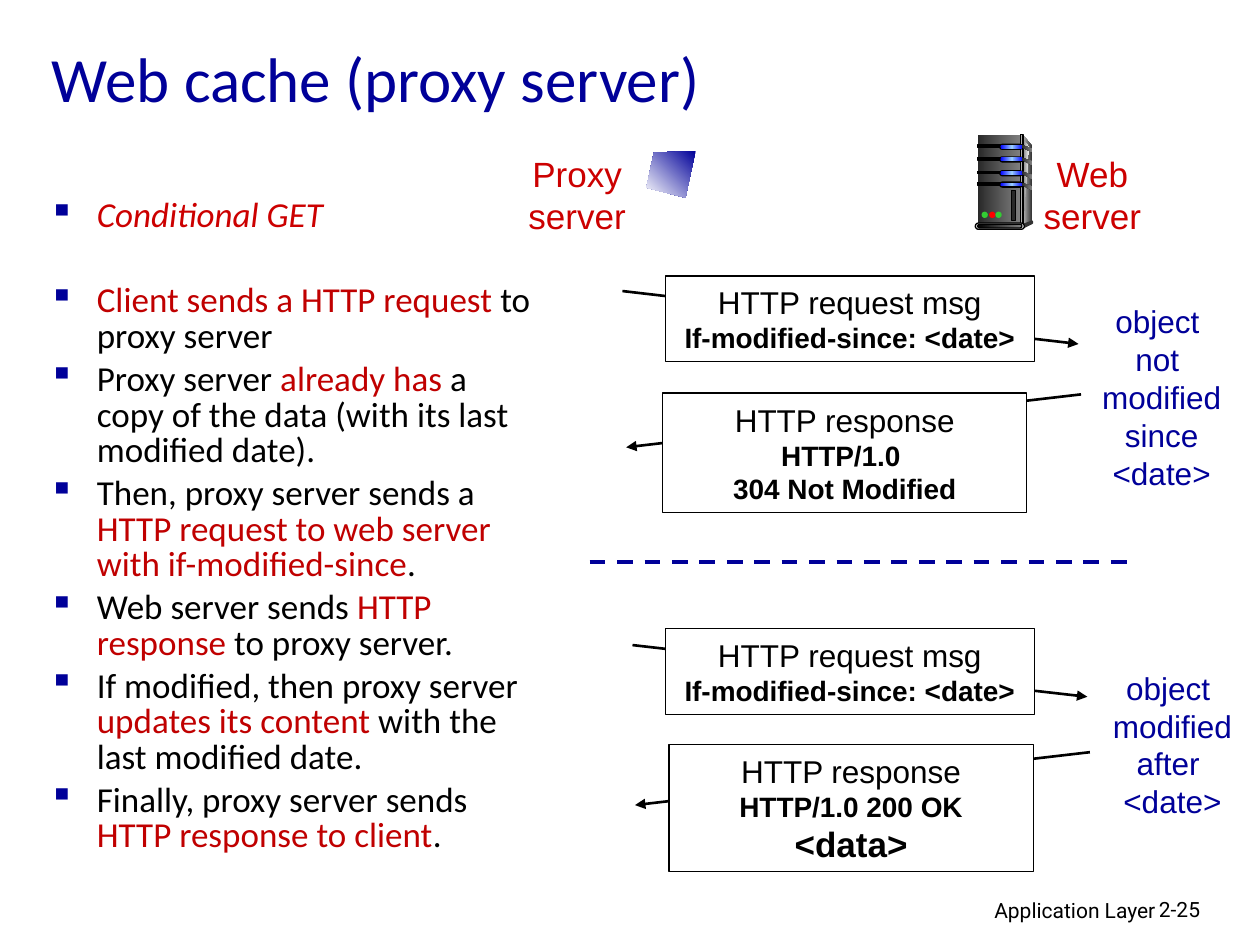
from lxml.etree import SubElement
from pptx import Presentation
from pptx.dml.color import RGBColor
from pptx.enum.dml import MSO_LINE
from pptx.enum.shapes import MSO_CONNECTOR, MSO_SHAPE as SHAPE
from pptx.enum.text import MSO_ANCHOR as ANCHOR, PP_ALIGN as ALIGN
from pptx.oxml.ns import qn
from pptx.util import Inches, Pt

BLACK, WHITE, NAVY, RED, DARK_RED = "000000", "FFFFFF", "000099", "CC0000", "C00000"
STEEL = ["292929", "808080"]
LED_BLUE = ["0000FF", "99CCFF", "0000FF"]

TITLE = "Web cache (proxy server)"
STEPS = [
    [("Client sends a HTTP request", DARK_RED), (" to proxy server", BLACK)],
    [("Proxy server ", BLACK), ("already has ", DARK_RED),
     ("a copy of the data (with its last modified date).", BLACK)],
    [("Then, proxy server sends a ", BLACK),
     ("HTTP request to web server with if-modified-since", DARK_RED), (".", BLACK)],
    [("Web server sends ", BLACK), ("HTTP response", DARK_RED), (" to proxy server.", BLACK)],
    [("If modified, then proxy server ", BLACK), ("updates its content ", DARK_RED),
     ("with the last modified date.", BLACK)],
    [("Finally, proxy server sends ", BLACK), ("HTTP response to client", DARK_RED), (".", BLACK)],
]
REQUEST = [("HTTP request msg", 18, False), ("If-modified-since: <date>", 16, True)]
NOT_MODIFIED = [("HTTP response", 18, False), ("HTTP/1.0 ", 16, True), ("304 Not Modified", 16, True)]
MODIFIED = [("HTTP response", 18, False), ("HTTP/1.0 200 OK", 16, True), ("<data>", 20, True)]
MESSAGES = [
    (REQUEST, (5.28, 2.19, 2.93, 0.68), (4.94, 2.31, 8.56, 2.73)),
    (NOT_MODIFIED, (5.26, 3.12, 2.89, 0.95), (8.58, 3.13, 4.97, 3.55)),
    (REQUEST, (5.28, 4.99, 2.93, 0.68), (5.02, 5.12, 8.63, 5.53)),
    (MODIFIED, (5.31, 5.91, 2.89, 1.01), (8.65, 5.97, 5.04, 6.39)),
]
LABELS = [
    (["object ", "not ", "modified", "since", "<date>"], (8.64, 2.35, 1.16, 1.62), 18, NAVY),
    (["object ", "modified", "after ", "<date>"], (8.73, 5.26, 1.15, 1.3), 18, NAVY),
    (["Proxy", "server"], (4.09, 1.16, 0.98, 0.77), 20, RED),
    (["Web", "server"], (8.18, 1.16, 0.98, 0.77), 20, RED),
]
FOOTER = [("Application Layer", (6.1, 7.07, 3.17, 0.31), ALIGN.RIGHT),
          ("2-25", (9.1, 7.07, 0.74, 0.3), ALIGN.LEFT)]
DRIVE_TOPS = [1.15, 1.25, 1.36, 1.45]
LEDS = [(7.79, "33CC33"), (7.85, "FF0000"), (7.9, "33CC33")]


def rgb(color):
    return RGBColor.from_string(color)


def inches(values):
    return [Inches(value) for value in values]


def paint(shape, fill, outline=None, angle=0):
    """Fill with one colour or an even gradient of several, and outline if asked."""
    shape.shadow.inherit = False
    if isinstance(fill, str):
        shape.fill.solid()
        shape.fill.fore_color.rgb = rgb(fill)
    else:
        shape.fill.gradient()
        shape.fill.gradient_angle = angle
        stops = shape.fill._fill._gradFill.find(qn("a:gsLst"))
        for stop in list(stops):
            stops.remove(stop)
        for i, color in enumerate(fill):
            stop = SubElement(stops, qn("a:gs"), pos=str(100000 * i // (len(fill) - 1)))
            SubElement(stop, qn("a:srgbClr"), val=color)
    if outline:
        shape.line.color.rgb = rgb(outline)
        shape.line.width = Pt(0.75)
    else:
        shape.line.fill.background()


def add_block(shapes, kind, box, fill, outline=None):
    block = shapes.add_shape(kind, *inches(box))
    if kind == SHAPE.ROUNDED_RECTANGLE:
        block.adjustments[0] = 0.5
    paint(block, fill, outline)
    return block


def add_outline(shapes, points, fill, angle=0):
    builder = shapes.build_freeform(*inches(points[0]), scale=1.0)
    builder.add_line_segments([inches(point) for point in points[1:]], close=True)
    paint(builder.convert_to_shape(), fill, angle=angle)


def add_line(shapes, ends, color, width):
    line = shapes.add_connector(MSO_CONNECTOR.STRAIGHT, *inches(ends))
    line.line.color.rgb = rgb(color)
    line.line.width = Pt(width)
    SubElement(line._element.spPr, qn("a:effectLst"))
    return line


def style(paragraph, size, color, font="Arial", bold=False, align=ALIGN.CENTER):
    paragraph.alignment = align
    paragraph.font.name = font
    paragraph.font.size = Pt(size)
    paragraph.font.bold = bold
    paragraph.font.color.rgb = rgb(color)


def write(frame, lines, color, font="Arial", align=ALIGN.CENTER):
    for i, (text, size, bold) in enumerate(lines):
        paragraph = frame.add_paragraph() if i else frame.paragraphs[0]
        paragraph.text = text
        style(paragraph, size, color, font, bold, align)


def add_steps(shapes):
    frame = shapes.add_textbox(*inches((0.29, 1.53, 4.09, 5.61))).text_frame
    frame.word_wrap = True
    for i, runs in enumerate([[("Conditional GET", RED)]] + STEPS):
        paragraph = frame.add_paragraph() if i else frame.paragraphs[0]
        props = paragraph._p.get_or_add_pPr()
        props.set("marL", str(Inches(0.38)))
        props.set("indent", str(Inches(-0.38)))
        SubElement(SubElement(props, qn("a:buClr")), qn("a:srgbClr"), val=NAVY)
        SubElement(props, qn("a:buChar"), char="▪")
        paragraph.line_spacing = 0.85
        paragraph.space_before = Pt({0: 0, 1: 28.4}.get(i, 4))
        paragraph.font.name = "Calibri"
        paragraph.font.size = Pt(20)
        paragraph.font.italic = i == 0
        for text, color in runs:
            run = paragraph.add_run()
            run.text = text
            run.font.color.rgb = rgb(color)


def add_server(shapes):
    rect, pill, oval = SHAPE.RECTANGLE, SHAPE.ROUNDED_RECTANGLE, SHAPE.OVAL
    add_outline(shapes, [(8.12, 1.07), (8.19, 1.16), (8.19, 1.76), (8.1, 1.79)], ["DDDDDD", "333333"])
    add_block(shapes, rect, (7.76, 1.07, 0.34, 0.72), STEEL)
    add_outline(shapes, [(8.12, 1.11), (8.17, 1.17), (8.14, 1.5), (8.12, 1.77)], ["808080", "F8F8F8"])
    add_block(shapes, rect, (8.1, 1.07, 0.02, 0.72), ["333333", "DDDDDD", "333333"], BLACK)
    for top in DRIVE_TOPS:
        add_block(shapes, rect, (7.76, top, 0.19, 0.02), BLACK, BLACK)
        add_block(shapes, pill, (7.93, top - 0.01, 0.19, 0.05), BLACK)
        add_block(shapes, pill, (7.94, top, 0.18, 0.03), LED_BLUE)
        add_outline(shapes, [(8.11, top), (8.19, top + 0.03), (8.19, top + 0.06), (8.11, top + 0.02)], STEEL)
    add_block(shapes, oval, (8.18, 1.75, 0.02, 0.03), "333333")
    add_outline(shapes, [(8.11, 1.78), (8.11, 1.82), (8.19, 1.78), (8.19, 1.75)], "333333")
    add_block(shapes, pill, (7.74, 1.77, 0.39, 0.05), "DDDDDD", BLACK)
    add_block(shapes, pill, (7.76, 1.78, 0.35, 0.03), [BLACK, "808080"], BLACK)
    for left, color in LEDS:
        add_block(shapes, oval, (left, 1.68, 0.05, 0.05), color)
    add_block(shapes, rect, (8.03, 1.51, 0.03, 0.24), "292929", BLACK)


def main():
    """Build the web cache slide and save it."""
    deck = Presentation()
    deck.slide_width, deck.slide_height = inches((10, 7.5))
    slide = deck.slides.add_slide(deck.slide_layouts[5])
    shapes = slide.shapes

    title = shapes.title
    title.left, title.top, title.width, title.height = inches((0.31, 0.21, 8.71, 0.81))
    title.text_frame.vertical_anchor = ANCHOR.MIDDLE
    write(title.text_frame, [(TITLE, 36, False)], NAVY, "Calibri", ALIGN.LEFT)
    add_steps(shapes)

    for lines, box, ends in MESSAGES:
        arrow = add_line(shapes, ends, BLACK, 1.5)
        SubElement(arrow.line._get_or_add_ln(), qn("a:tailEnd"), type="triangle")
        message = add_block(shapes, SHAPE.RECTANGLE, box, WHITE, BLACK)
        write(message.text_frame, lines, BLACK)
    divider = add_line(shapes, (4.68, 4.46, 8.95, 4.46), NAVY, 2.25)
    divider.line.dash_style = MSO_LINE.DASH

    for lines, box, size, color in LABELS:
        label = shapes.add_textbox(*inches(box)).text_frame
        label.word_wrap = False
        write(label, [(line, size, False) for line in lines], color)
    for text, box, align in FOOTER:
        footer = shapes.add_textbox(*inches(box)).text_frame
        footer.word_wrap = True
        write(footer, [(text, 12, False)], BLACK, "Roboto", align)

    add_server(shapes.add_group_shape().shapes)
    add_outline(shapes, [(5.52, 1.2), (5.19, 1.21), (5.13, 1.49), (5.44, 1.57)], [NAVY, WHITE], 225)
    deck.save("out.pptx")


if __name__ == "__main__":
    main()
